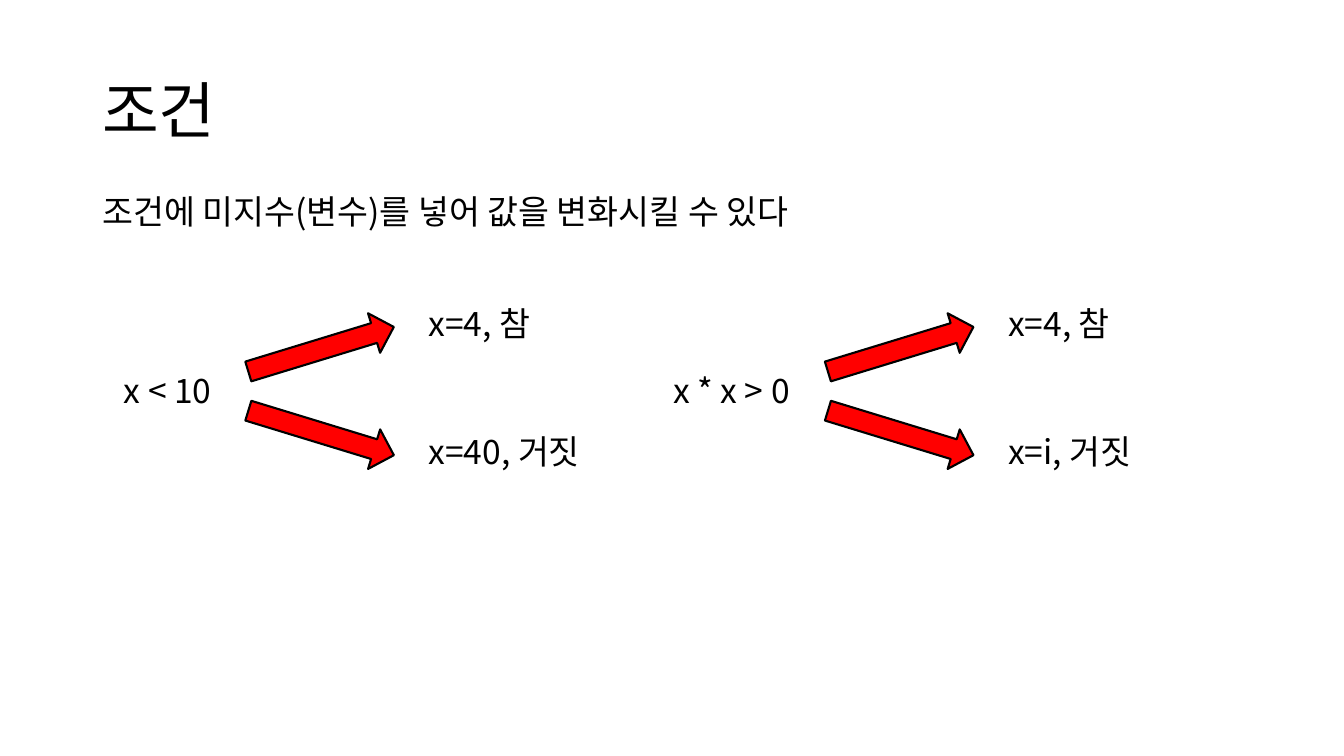
"""Build the slide on conditions with an unknown and their true and false cases."""
from lxml.etree import SubElement
from pptx import Presentation
from pptx.dml.color import RGBColor
from pptx.enum.shapes import MSO_SHAPE as Shape
from pptx.enum.text import MSO_ANCHOR as Anchor
from pptx.oxml.ns import qn
from pptx.util import Pt

FONT = "Noto Sans CJK KR"


def color(hex_code):
    return RGBColor.from_string(hex_code)


def add_text(words, left, top, width, height=36, size=24):
    frame = slide.shapes.add_textbox(Pt(left), Pt(top), Pt(width), Pt(height)).text_frame
    frame.word_wrap = True
    run = frame.paragraphs[0].add_run()
    run.text = words
    run.font.size = Pt(size)
    run.font.name = FONT
    run.font.color.rgb = color("000000")
    SubElement(run.font._element, qn("a:ea")).set("typeface", FONT)
    return frame


deck = Presentation()
deck.slide_width, deck.slide_height = Pt(960), Pt(540)
slide = deck.slides.add_slide(deck.slide_layouts[6])

title = add_text("조건", 66, 28.8, 828, 104.4, 44)
title.vertical_anchor = Anchor.MIDDLE
title.paragraphs[0].line_spacing = 0.9
add_text("조건에 미지수(변수)를 넣어 값을 변화시킬 수 있다", 66, 133, 577.5)

conditions = [
    ("x < 10", 81.4, 91.5, 175, ("x=4, 참", "x=40, 거짓")),
    ("x * x > 0", 473.8, 113, 589, ("x=4, 참", "x=i, 거짓")),
]
branches = [(234.7, -17, 213, 113), (294.5, 17, 304.5, 134.6)]

for condition, left, width, arrow_left, outcomes in conditions:
    add_text(condition, left, 260.6, width)
    for outcome, (arrow_top, angle, outcome_top, outcome_width) in zip(outcomes, branches):
        arrow = slide.shapes.add_shape(
            Shape.RIGHT_ARROW, Pt(arrow_left), Pt(arrow_top), Pt(108.7), Pt(29.5))
        arrow.rotation = angle
        arrow.shadow.inherit = False
        arrow.fill.solid()
        arrow.fill.fore_color.rgb = color("FF0000")
        arrow.line.color.rgb = color("000000")
        arrow.line.width = Pt(1.5)
        add_text(outcome, arrow_left + 124, outcome_top, outcome_width)

deck.save("out.pptx")
